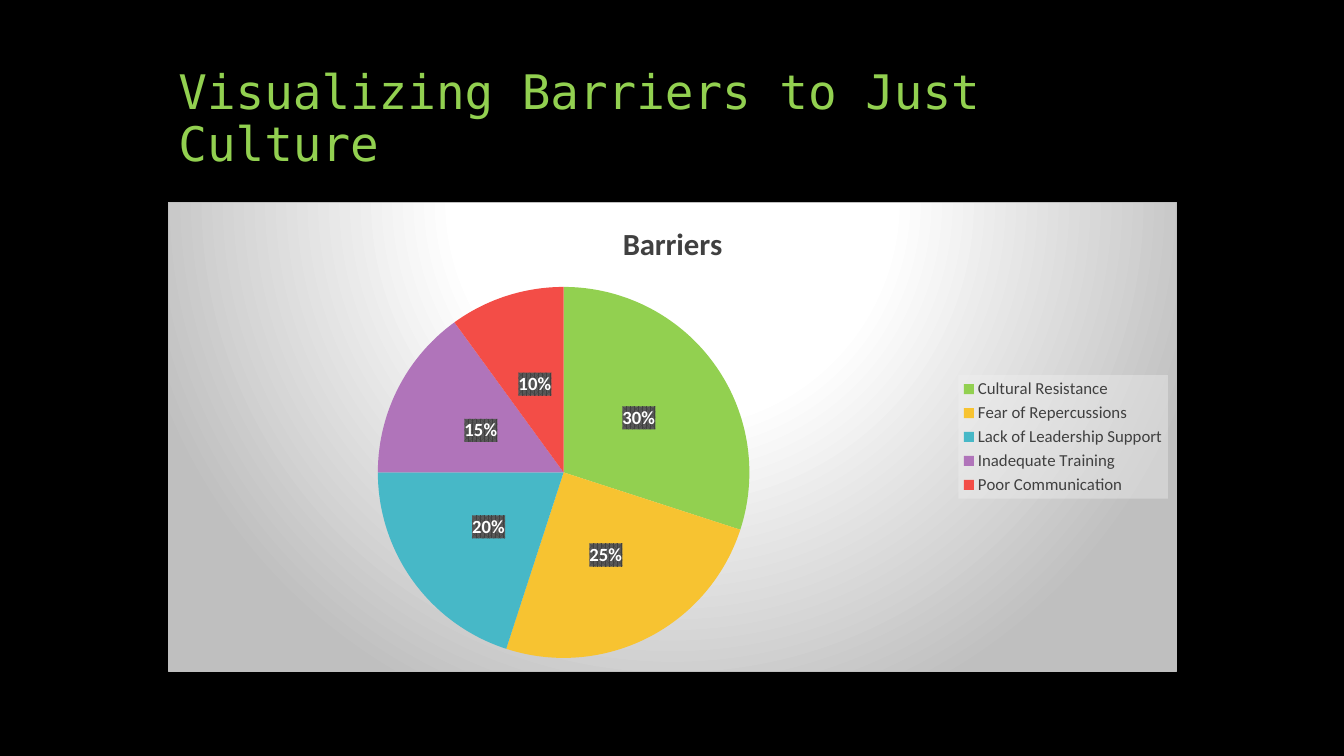
from dataclasses import dataclass

import pptx
import pptx.chart.data
import pptx.dml.color
import pptx.enum.chart
import pptx.enum.text
import pptx.oxml
import pptx.oxml.ns
import pptx.util

Inches = pptx.util.Inches
Pt = pptx.util.Pt
qn = pptx.oxml.ns.qn

COLORS = {
    "black": "000000",
    "white": "FFFFFF",
    "green": "92D050",
    "yellow": "F7C331",
    "teal": "47B8C7",
    "purple": "B074BA",
    "red": "F34D47",
    "text": "404040",
    "label_stripe": "595959",
    "edge": "BFBFBF",
    "legend": "F2F2F2",
}
TITLE_FONT = "DejaVu Sans Mono"
CHART_FONT = "Calibri"


@dataclass(frozen=True)
class Barrier:
    name: str
    percent: int
    color: str


BARRIERS = [
    Barrier("Cultural Resistance", 30, "green"),
    Barrier("Fear of Repercussions", 25, "yellow"),
    Barrier("Lack of Leadership Support", 20, "teal"),
    Barrier("Inadequate Training", 15, "purple"),
    Barrier("Poor Communication", 10, "red"),
]


def rgb(color: str) -> pptx.dml.color.RGBColor:
    return pptx.dml.color.RGBColor.from_string(COLORS[color])


def format_font(font, size: float, color: str, name: str = CHART_FONT,
                bold: bool = False) -> None:
    font.name, font.size, font.bold = name, Pt(size), bold
    font.color.rgb = rgb(color)


def put_text(tf, text: str, *, align=None, spacing: float | None = None,
             **font_format) -> None:
    p = tf.paragraphs[0]
    p.alignment, p.line_spacing = align, spacing
    r = p.add_run()
    r.text = text
    format_font(r.font, **font_format)


def set_area_style(element, style: str) -> None:
    """Give a chart part its fill and border, placed ahead of its text format."""
    ns = pptx.oxml.ns.nsdecls("c", "a")
    sp_pr = pptx.oxml.parse_xml(f"<c:spPr {ns}>{style}</c:spPr>")
    element.find(qn("c:txPr")).addprevious(sp_pr)


def color_xml(color: str, alpha: int = 100) -> str:
    return (f'<a:srgbClr val="{COLORS[color]}">'
            f'<a:alpha val="{alpha * 1000}"/></a:srgbClr>')


def add_title(slide) -> None:
    sp = slide.shapes.title
    sp.left, sp.top = Inches(1.67), Inches(0.5)
    sp.width, sp.height = Inches(10), Inches(1.25)
    tf = sp.text_frame
    tf.word_wrap = True
    tf.auto_size = pptx.enum.text.MSO_AUTO_SIZE.NONE
    tf.vertical_anchor = pptx.enum.text.MSO_ANCHOR.BOTTOM
    put_text(tf, "Visualizing Barriers to Just Culture",
             align=pptx.enum.text.PP_ALIGN.LEFT, spacing=0.9,
             size=34, color="green", name=TITLE_FONT)


def add_barriers_chart(slide) -> None:
    data = pptx.chart.data.CategoryChartData()
    data.categories = [b.name for b in BARRIERS]
    data.add_series("Barriers", [b.percent for b in BARRIERS])
    chart = slide.shapes.add_chart(
        pptx.enum.chart.XL_CHART_TYPE.PIE, Inches(1.67), Inches(2),
        Inches(10), Inches(4.67), data).chart
    format_font(chart.font, 10, "white")
    chart.has_title = True
    put_text(chart.chart_title.text_frame, "Barriers",
             size=22, color="text", bold=True)

    plot = chart.plots[0]
    plot.vary_by_categories = True
    for i, barrier in enumerate(BARRIERS):
        fill = plot.series[0].points[i].format.fill
        fill.solid()
        fill.fore_color.rgb = rgb(barrier.color)

    labels = plot.series[0].data_labels
    format_font(labels.font, 13.3, "white", bold=True)
    labels.show_value = False
    labels.show_percentage = True
    labels.number_format, labels.number_format_is_linked = "0%", False
    labels.position = pptx.enum.chart.XL_LABEL_POSITION.CENTER

    chart.has_legend = True
    chart.legend.position = pptx.enum.chart.XL_LEGEND_POSITION.RIGHT
    chart.legend.include_in_layout = False
    format_font(chart.legend.font, 12, "text")
    style_chart_areas(chart.element)


def style_chart_areas(chart_space) -> None:
    if chart_space.find(qn("c:roundedCorners")) is None:
        square = pptx.oxml.parse_xml(
            f'<c:roundedCorners {pptx.oxml.ns.nsdecls("c")} val="0"/>')
        chart_space.find(qn("c:chart")).addprevious(square)

    stops = "".join(
        f'<a:gs pos="{pos * 1000}">{color_xml(color)}</a:gs>'
        for pos, color in [(0, "white"), (39, "white"), (100, "edge")])
    set_area_style(chart_space, (
        f'<a:gradFill><a:gsLst>{stops}</a:gsLst><a:path path="circle">'
        '<a:fillToRect l="50000" t="-80000" r="50000" b="180000"/></a:path></a:gradFill>'
        f'<a:ln w="{Pt(0.75)}"><a:solidFill>{color_xml("edge")}</a:solidFill></a:ln>'))
    set_area_style(next(chart_space.iter(qn("c:legend"))),
                   f'<a:solidFill>{color_xml("legend", 39)}</a:solidFill>')
    set_area_style(next(chart_space.iter(qn("c:dLbls"))), (
        f'<a:pattFill prst="pct75"><a:fgClr>{color_xml("text")}</a:fgClr>'
        f'<a:bgClr>{color_xml("label_stripe")}</a:bgClr></a:pattFill>'))


def main() -> None:
    prs = pptx.Presentation()
    prs.slide_width, prs.slide_height = Inches(13.33), Inches(7.5)
    slide = prs.slides.add_slide(prs.slide_layouts.get_by_name("Title Only"))
    slide.background.fill.solid()
    slide.background.fill.fore_color.rgb = rgb("black")
    add_title(slide)
    add_barriers_chart(slide)
    prs.save("out.pptx")


if __name__ == "__main__":
    main()
